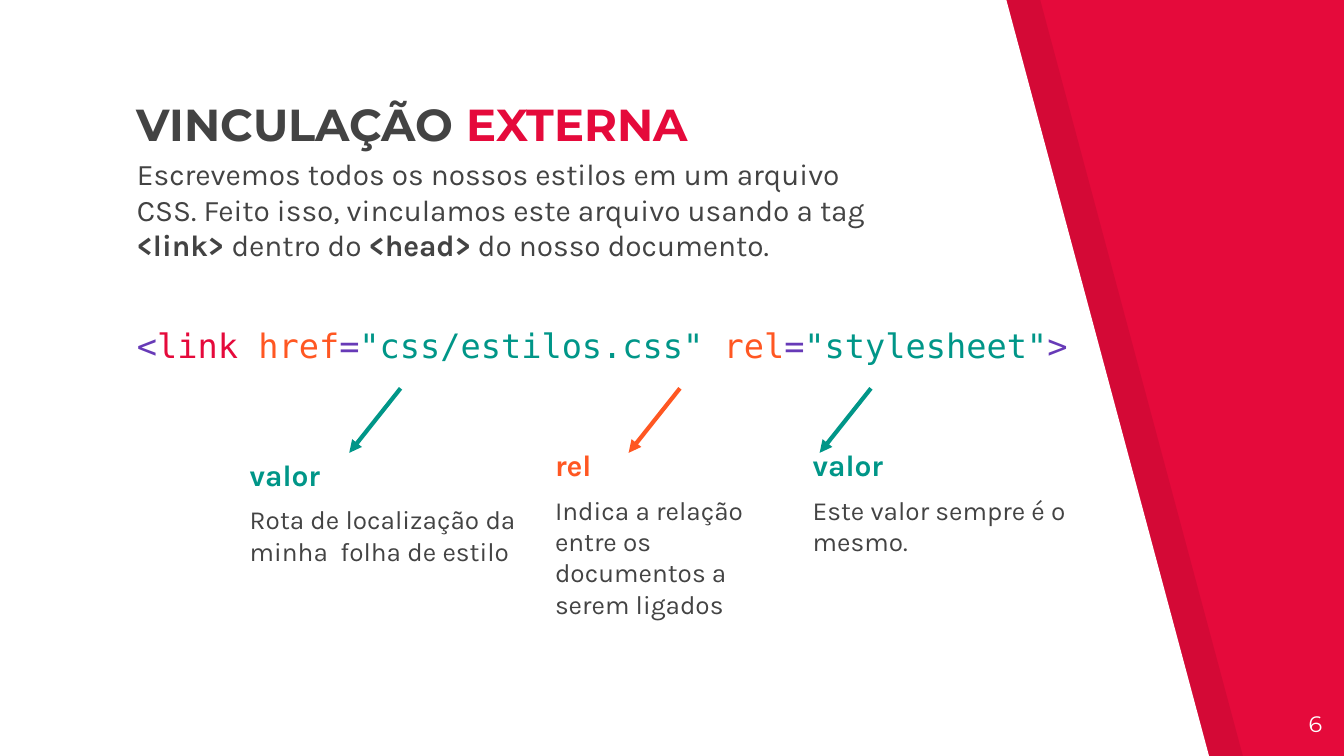
"""Build the slide that explains linking an external CSS file."""
from lxml.etree import SubElement
from pptx import Presentation
from pptx.dml.color import RGBColor
from pptx.enum.text import MSO_ANCHOR, PP_ALIGN
from pptx.oxml.ns import qn
from pptx.util import Cm, Pt

RED = RGBColor(0xE5, 0x0A, 0x3B)
BLACK = RGBColor(0, 0, 0)
WHITE = RGBColor(0xFF, 0xFF, 0xFF)
GRAY = RGBColor(0x43, 0x43, 0x43)
ORANGE = RGBColor(0xFF, 0x57, 0x22)
TEAL = RGBColor(0x00, 0x96, 0x88)
PURPLE = RGBColor(0x67, 0x3A, 0xB7)

HEADING_FONT, BODY_FONT, CODE_FONT = "Montserrat", "Karla", "DejaVu Sans Mono"
SLIDE_WIDTH, SLIDE_HEIGHT = 25.4, 14.29
MARGIN_LEFT = 2.34
PANEL_TOP_RIGHT, PANEL_BOTTOM_RIGHT, BAND_OFFSET = 19.02, 22.85, 0.64
ARROW_TOP, ARROW_RUN, ARROW_DROP = 7.34, 0.97, 1.22

TITLE = [("VINCULAÇÃO ", GRAY, True), ("EXTERNA", RED, True)]
INTRODUCTION = [
    ("Escrevemos todos os nossos estilos em um arquivo CSS. "
     "Feito isso, vinculamos este arquivo usando a tag ", GRAY, False),
    ("<link> ", GRAY, True),
    ("dentro do ", GRAY, False),
    ("<head>", GRAY, True),
    (" do nosso documento.", GRAY, False),
]
CODE = [
    ("<", PURPLE, False),
    ("link ", RED, False),
    ("href", ORANGE, False),
    ("=", PURPLE, False),
    ('"css/estilos.css" ', TEAL, False),
    ("rel", ORANGE, False),
    ("=", PURPLE, False),
    ('"stylesheet"', TEAL, False),
    (">", PURPLE, False),
]
NOTES = [
    ("valor", "Rota de localização da minha  folha de estilo", TEAL,
     (4.47, 8.38, 5.77, 2.13), 7.57),
    ("rel", "Indica a relação entre os documentos a serem ligados", ORANGE,
     (10.24, 8.2, 4.88, 3.35), 12.85),
    ("valor", "Este valor sempre é o mesmo.", TEAL,
     (15.11, 8.2, 5.77, 3.35), 16.46),
]


def add_panel(page, left, color):
    """Draw a slanted panel that starts at the given left edge."""
    corners = [(left, 0), (left, SLIDE_HEIGHT),
               (left + PANEL_BOTTOM_RIGHT, SLIDE_HEIGHT),
               (left + PANEL_TOP_RIGHT, 0)]
    points = [(Cm(x), Cm(y)) for x, y in corners]
    builder = page.shapes.build_freeform(*points[0])
    builder.add_line_segments(points[1:], close=True)
    panel = builder.convert_to_shape()
    panel.shadow.inherit = False
    panel.fill.solid()
    panel.fill.fore_color.rgb = color
    panel.line.fill.background()
    return panel


def add_text(page, place, paragraphs, font, space=6, anchor=MSO_ANCHOR.TOP,
             align=PP_ALIGN.LEFT):
    """Add a text box from (size, spans) paragraphs."""
    box = page.shapes.add_textbox(*map(Cm, place))
    frame = box.text_frame
    frame.word_wrap = True
    frame.vertical_anchor = anchor
    frame.margin_left = frame.margin_right = Cm(0.25)
    frame.margin_top = frame.margin_bottom = Cm(0.25)
    for index, (size, spans) in enumerate(paragraphs):
        para = frame.add_paragraph() if index else frame.paragraphs[0]
        para.space_before = Pt(space)
        para.alignment = align
        for text, color, bold in spans:
            span = para.add_run()
            span.text = text
            span.font.name = font
            span.font.size = Pt(size)
            span.font.bold = bold
            span.font.color.rgb = color


def add_arrow(page, start, color):
    """Draw an arrow down and left from the code line."""
    arrow = page.shapes.add_connector(
        1, Cm(start), Cm(ARROW_TOP), Cm(start - ARROW_RUN), Cm(ARROW_TOP + ARROW_DROP))
    arrow.line.color.rgb = color
    arrow.line.width = Pt(2.25)
    SubElement(arrow.line._get_or_add_ln(), qn("a:tailEnd"), type="triangle")
    SubElement(arrow._element.spPr, qn("a:effectLst"))


def main():
    """Assemble and save the deck."""
    deck = Presentation()
    deck.slide_width, deck.slide_height = Cm(SLIDE_WIDTH), Cm(SLIDE_HEIGHT)
    page = deck.slides.add_slide(deck.slide_layouts[6])
    page.background.fill.solid()
    page.background.fill.fore_color.rgb = RED

    band = add_panel(page, BAND_OFFSET, BLACK)
    band_color = band._element.spPr.find(qn("a:solidFill")).find(qn("a:srgbClr"))
    SubElement(band_color, qn("a:alpha"), val="7000")
    add_panel(page, 0, WHITE)

    add_text(page, (23.72, 13.18, 1.52, 1.09), [(12, [("6", WHITE, False)])],
             HEADING_FONT, space=0, align=PP_ALIGN.RIGHT)
    add_text(page, (MARGIN_LEFT, 1.96, 13.34, 1.14), [(24, TITLE)],
             HEADING_FONT, space=0, anchor=MSO_ANCHOR.BOTTOM)
    add_text(page, (MARGIN_LEFT, 2.69, 14.3, 2.77), [(16, INTRODUCTION)], BODY_FONT)
    add_text(page, (MARGIN_LEFT, 5.89, 21.39, 2.77), [(18, CODE)], CODE_FONT)
    for name, detail, color, place, arrow_start in NOTES:
        add_text(page, place, [(16, [(name, color, True)]),
                               (14, [(detail, GRAY, False)])], BODY_FONT)
        add_arrow(page, arrow_start, color)

    deck.save("out.pptx")


if __name__ == "__main__":
    main()
